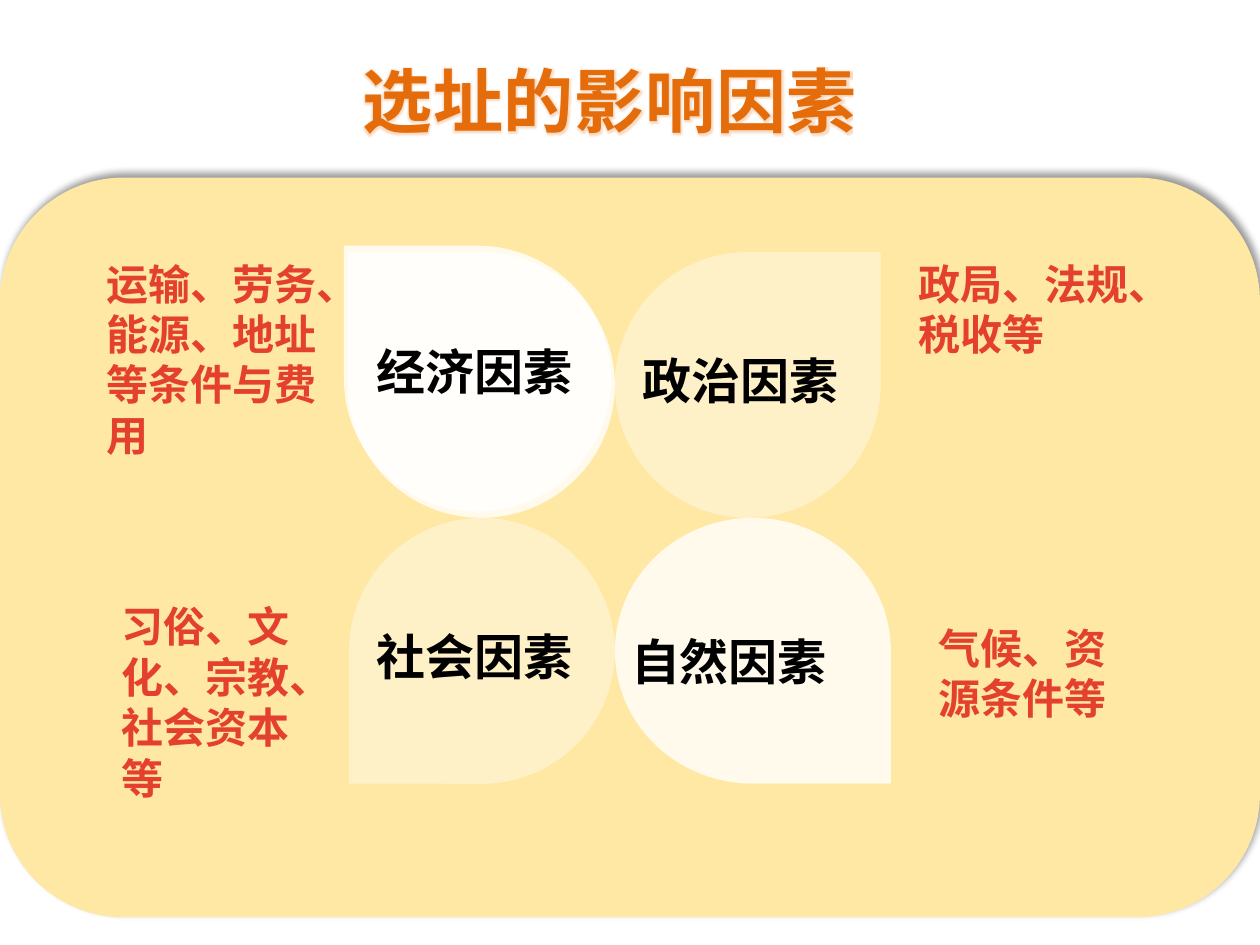
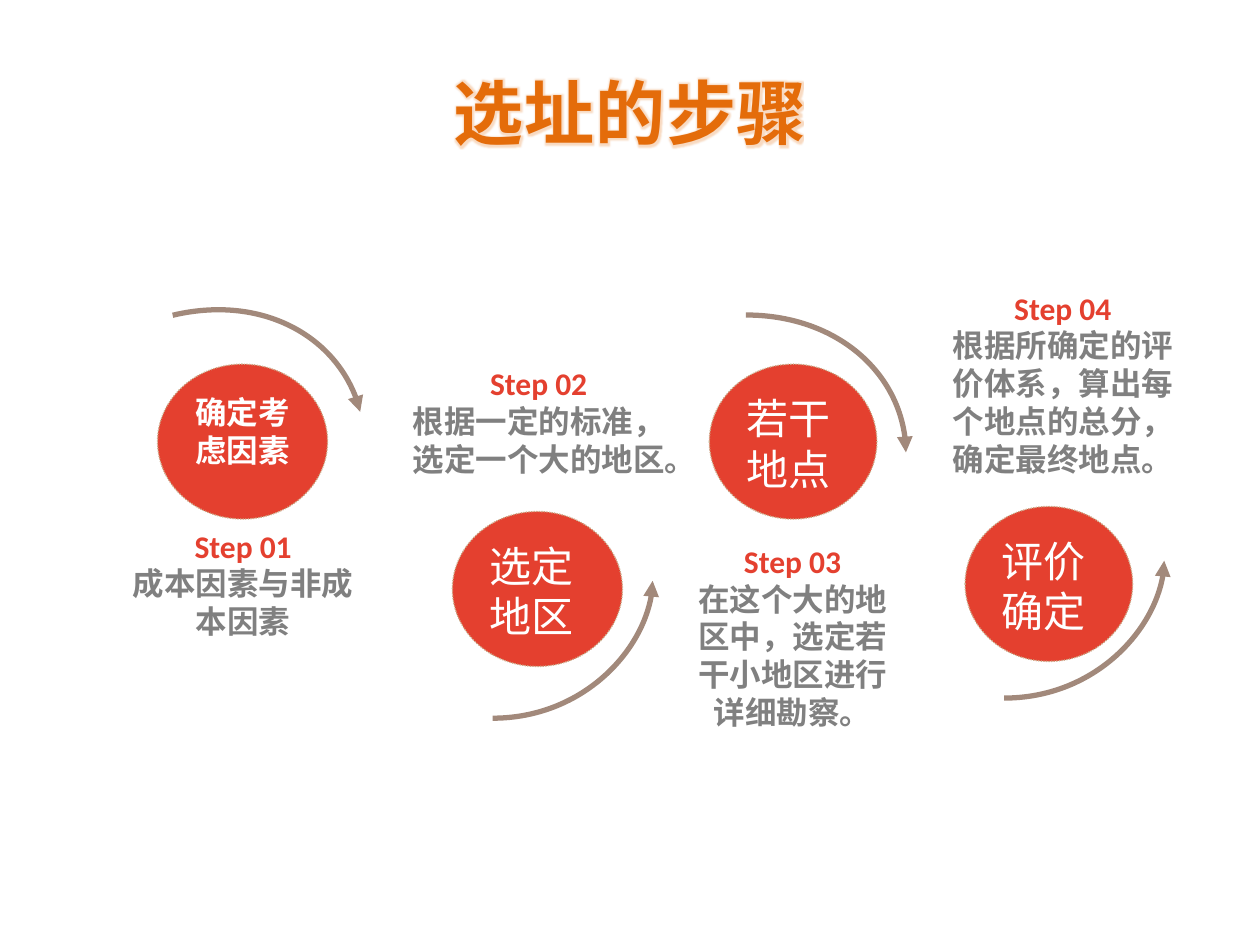
from lxml import etree
from pptx import Presentation
from pptx import util as u
from pptx.dml.color import RGBColor
from pptx.enum import dml, shapes, text
from pptx.oxml import ns

# Shared look
COLORS = {"title": "E46C0A", "panel": "FFE8A3", "petal": "FFFFFF", "red": "E4402F",
          "rim": "CBAB89", "arrow": "A2897B", "gray": "808080", "black": "000000",
          "white": "FFFFFF"}
LATIN, CJK, TITLE_FONT = "Calibri", "Noto Sans CJK SC", "Noto Sans CJK JP"
LEFT, CENTER = text.PP_ALIGN.LEFT, text.PP_ALIGN.CENTER

# Slide 1: factors
FACTORS_TITLE = ("选址的影响因素", (2.76, 0.41, 4.16, 0.77))
PANEL = (0, 1.41, 10, 5.87)
# box, rotation of the pointed corner, opacity in percent
PETALS = [
    ((4.88, 2, 2.11, 2.11), 0, 40),
    ((2.77, 4.11, 2.11, 2.11), 180, 40),
    ((4.88, 4.11, 2.19, 2.11), 90, 80),
    ((2.76, 2, 2.12, 2.11), 270, 80),
    ((2.73, 1.95, 2.12, 2.11), 270, 80),
]
DETAILS = [
    ("习俗、文化、宗教、社会资本等", (0.87, 4.72, 1.76, 1.73)),
    ("气候、资源条件等", (7.35, 4.89, 1.85, 0.93)),
    ("运输、劳务、能源、地址等条件与费用", (0.75, 2, 1.89, 1.73)),
    ("政局、法规、税收等", (7.19, 2, 1.88, 0.93)),
]
FACTORS = [
    ("社会因素", (2.89, 4.92, 1.86, 0.57), LEFT),
    ("自然因素", (4.88, 4.96, 1.81, 0.57), CENTER),
    ("经济因素", (2.89, 2.66, 1.86, 0.57), LEFT),
    ("政治因素", (5, 2.73, 1.86, 0.57), LEFT),
]

# Slide 2: steps
STEPS_TITLE = ("选址的步骤", (3.49, 0.5, 3.03, 0.77))
ARC_W, ARC_H, DISC_H = 1.27, 1.09, 1.23
BEND = 0.55  # handle length of a quarter ellipse
STEPS = [
    dict(name="确定考虑因素", disc=(1.25, 2.89, 1.35), arc=(1.48, 2.34), turn=-13.4, over=True,
         fmt=dict(size=18, bold=True, align=CENTER),
         note="成本因素与非成本因素", box=(1.02, 4.18, 1.82, 0.9)),
    dict(name="选定地区", disc=(3.59, 4.06, 1.35), arc=(3.91, 4.61), turn=0, over=False,
         fmt=dict(size=24), note="根据一定的标准，选定一个大的地区。", box=(3.22, 2.89, 2.11, 0.9)),
    dict(name="若干地点", disc=(5.63, 2.89, 1.33), arc=(5.92, 2.5), turn=0, over=True,
         fmt=dict(size=24), note="在这个大的地区中，选定若干小地区进行详细勘察。",
         box=(5.47, 4.3, 1.64, 1.5)),
    dict(name="评价确定", disc=(7.66, 4.02, 1.33), arc=(7.97, 4.45), turn=0, over=False,
         fmt=dict(size=24), note="根据所确定的评价体系，算出每个地点的总分，确定最终地点。",
         box=(7.47, 2.29, 1.93, 1.5)),
]


def rgb(name):
    return RGBColor.from_string(COLORS[name])


def inches(box):
    return [u.Inches(v) for v in box]


def sub(parent, tag, **attrs):
    return etree.SubElement(parent, ns.qn(tag), {k: str(v) for k, v in attrs.items()})


def color_node(parent, name, alpha):
    sub(sub(parent, "a:srgbClr", val=COLORS[name]), "a:alpha", val=alpha * 1000)


def add_run(tf, words, size=18, color="black", bold=False, font=LATIN, align=LEFT, new=False):
    """Write words into the first paragraph of a frame, or into a new one."""
    p = tf.add_paragraph() if new else tf.paragraphs[0]
    p.alignment = align
    r = p.add_run()
    r.text = words
    r.font.size, r.font.bold, r.font.name = u.Pt(size), bold, font
    r.font.color.rgb = rgb(color)
    sub(r.font._element, "a:ea", typeface=LATIN)
    return r


def add_box(s, box, margins=True, wrap=True):
    tf = s.shapes.add_textbox(*inches(box)).text_frame
    tf.word_wrap = wrap
    if not margins:
        tf.margin_left = tf.margin_right = tf.margin_top = tf.margin_bottom = 0
    return tf


def paint(sp, fill=None, line=None, width=0.75):
    sp.shadow.inherit = False
    if fill:
        sp.fill.solid()
        sp.fill.fore_color.rgb = rgb(fill)
    else:
        sp.fill.background()
    if line:
        sp.line.color.rgb, sp.line.width = rgb(line), u.Pt(width)
    else:
        sp.line.fill.background()
    return sp


def add_shape(s, kind, box, **look):
    return paint(s.shapes.add_shape(kind, *inches(box)), **look)


def add_title(s, words, box):
    """Orange heading with a thin outline and a soft glow."""
    r = add_run(add_box(s, box, wrap=False), words, size=40, color="title", bold=True,
                font=TITLE_FONT, align=CENTER)
    rpr = r.font._element
    rpr.set("spc", "50")
    ln = sub(rpr, "a:ln", w=u.Pt(1))
    sub(sub(ln, "a:solidFill"), "a:srgbClr", val=COLORS["title"])
    rpr.insert(0, ln)
    fx = sub(rpr, "a:effectLst")
    color_node(sub(fx, "a:glow", rad=u.Pt(4)), "title", 25)
    rpr.insert(2, fx)


def add_petal(s, box, turn, opacity):
    x, y, w, h = box
    if turn % 180:  # a quarter turn swaps width and height around the centre
        x, y, w, h = x + (w - h) / 2, y + (h - w) / 2, h, w
    sp = add_shape(s, shapes.MSO_SHAPE.TEAR, (x, y, w, h), fill="petal")
    sp.rotation = turn
    clr = sp.fill._xPr.find(".//" + ns.qn("a:srgbClr"))
    sub(clr, "a:alpha", val=opacity * 1000)


def add_arc(s, corner, turn, over):
    """Quarter ellipse with its arrowhead at the right-hand end."""
    x, y, w, h = inches((*corner, ARC_W, ARC_H))
    if over:
        start, end = (1, 1), (0, 0)
        handles = [(1, 1 - BEND), (BEND, 0)]
    else:
        start, end = (0, 1), (1, 0)
        handles = [(BEND, 1), (1, 1 - BEND)]
    fb = s.shapes.build_freeform(x + start[0] * w, y + start[1] * h, scale=1.0)
    fb.add_line_segments([(x + end[0] * w, y + end[1] * h)], close=False)
    sp = paint(fb.convert_to_shape(), line="arrow", width=3)
    # Bend the straight segment
    segment = sp._element.find(".//" + ns.qn("a:lnTo"))
    outline = segment.getparent()
    outline.remove(segment)
    curve = sub(outline, "a:cubicBezTo")
    for px, py in handles + [end]:
        sub(curve, "a:pt", x=round(px * w), y=round(py * h))
    sp.rotation = turn
    sub(sp.line._get_or_add_ln(), "a:headEnd" if over else "a:tailEnd", type="triangle")


def build_factors(s):
    add_title(s, *FACTORS_TITLE)
    # Panel with shadow to the upper right
    panel = add_shape(s, shapes.MSO_SHAPE.ROUNDED_RECTANGLE, PANEL, fill="panel")
    fx = panel._element.spPr.find(ns.qn("a:effectLst"))
    shadow = sub(fx, "a:outerShdw", blurRad=u.Pt(4), dist=u.Pt(3), dir=315 * 60000,
                 algn="bl", rotWithShape=0)
    color_node(shadow, "black", 40)
    for petal in PETALS:
        add_petal(s, *petal)
    for words, box in DETAILS:
        add_run(add_box(s, box), words, size=24, color="red", bold=True, font=CJK)
    for words, box, align in FACTORS:
        add_run(add_box(s, box), words, size=28, bold=True, align=align)


def build_steps(s):
    for number, step in enumerate(STEPS, 1):
        disc = add_shape(s, shapes.MSO_SHAPE.OVAL, (*step["disc"], DISC_H), fill="red", line="rim")
        disc.line.dash_style = dml.MSO_LINE.ROUND_DOT
        disc.text_frame.vertical_anchor = text.MSO_ANCHOR.TOP
        disc.text_frame.word_wrap = True
        add_run(disc.text_frame, step["name"], color="white", **step["fmt"])
        add_arc(s, step["arc"], step["turn"], step["over"])
        tf = add_box(s, step["box"], margins=False)
        add_run(tf, f"Step {number:02d}", color="red", bold=True, align=CENTER)
        add_run(tf, step["note"], color="gray", bold=True, align=CENTER, new=True)
    add_title(s, *STEPS_TITLE)


def main():
    prs = Presentation()
    prs.slide_width, prs.slide_height = u.Inches(10), u.Inches(7.5)
    for build in (build_factors, build_steps):
        build(prs.slides.add_slide(prs.slide_layouts[6]))
    prs.save("out.pptx")


if __name__ == "__main__":
    main()
